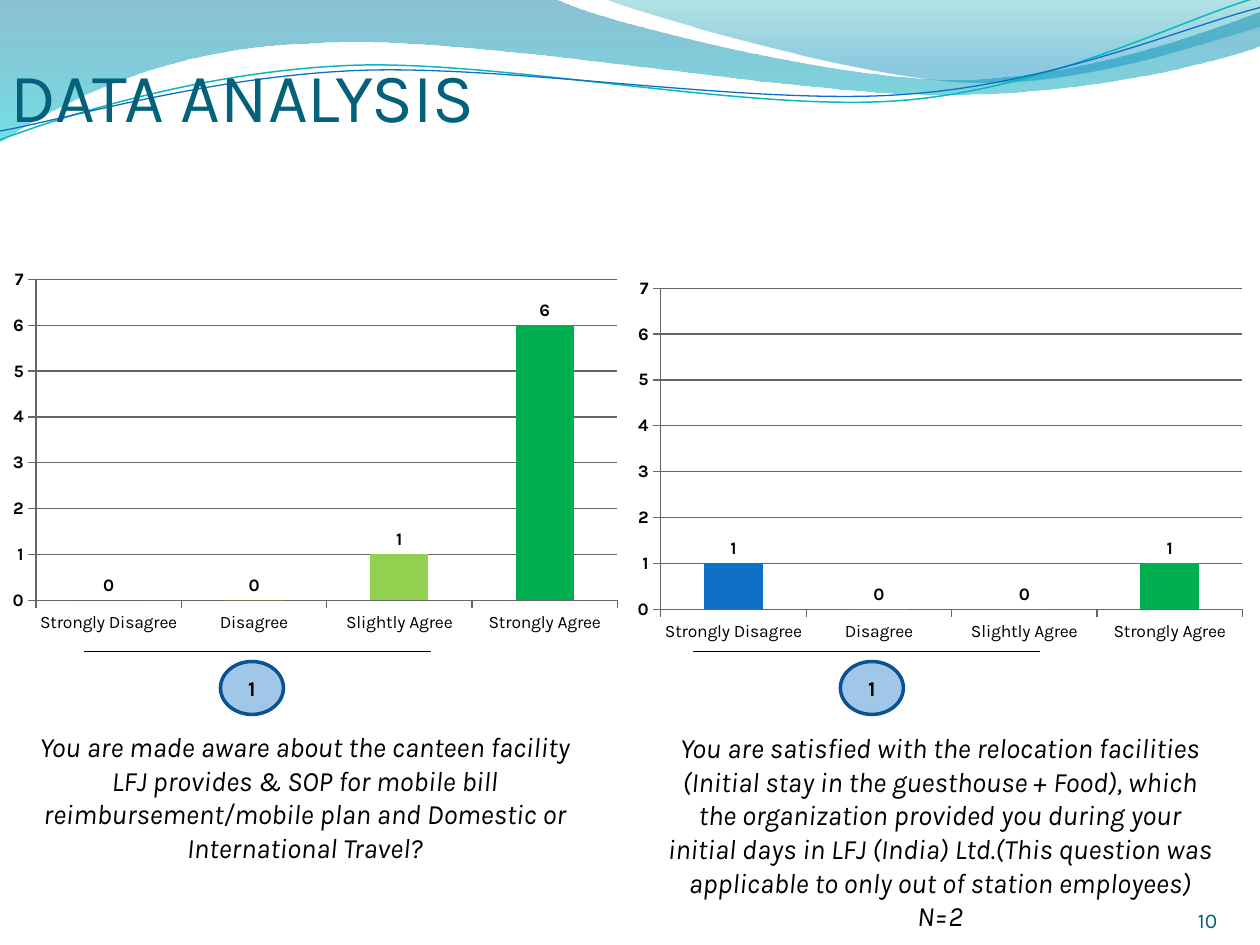
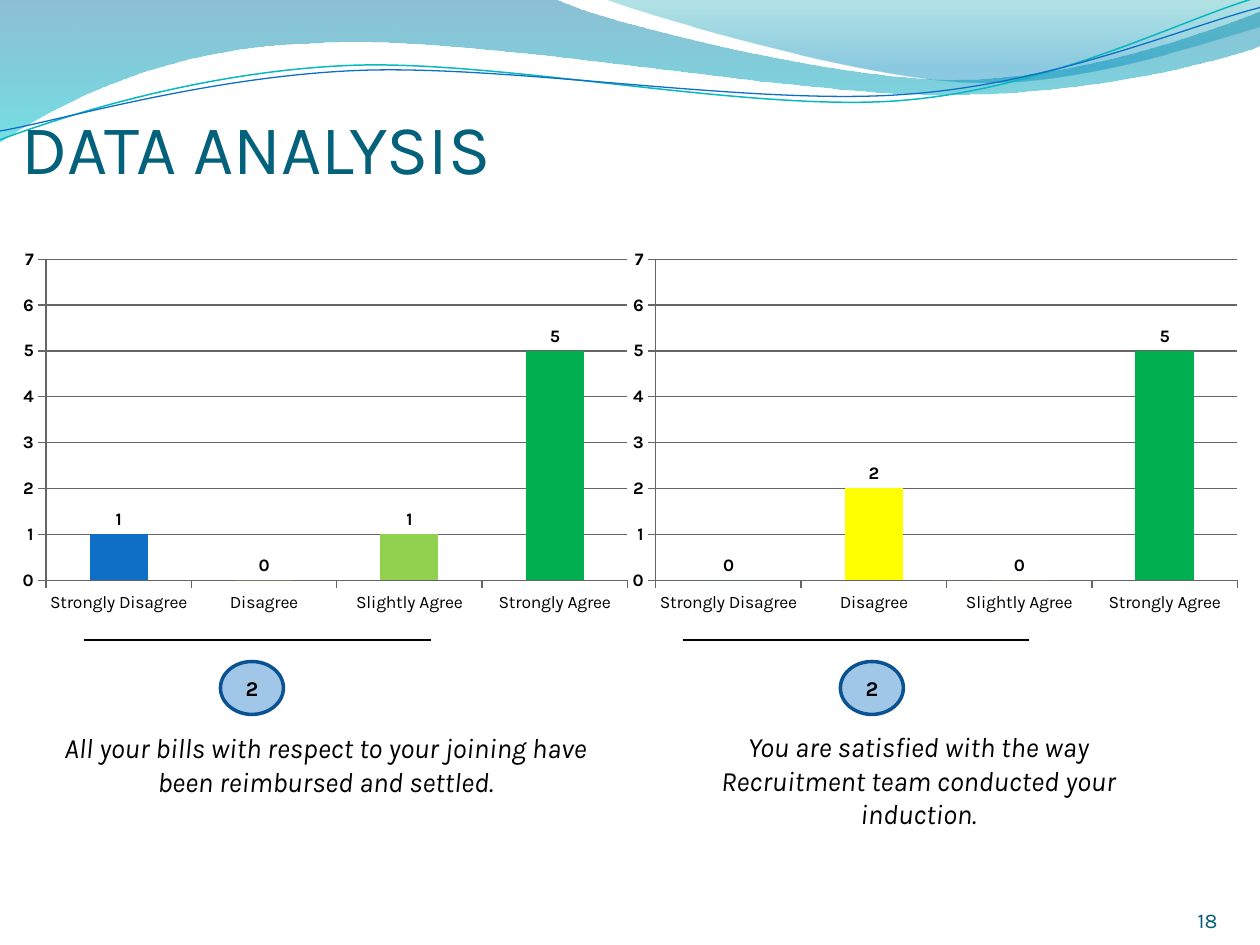
"""Builds two survey slides, each with a pair of answer charts and their questions."""
import pptx
import pptx.chart.data
import pptx.dml.color
import pptx.enum.chart
import pptx.enum.dml
import pptx.enum.shapes
import pptx.enum.text
import pptx.oxml.ns
import pptx.util
from lxml import etree

Inches = pptx.util.Inches
Pt = pptx.util.Pt
qn = pptx.oxml.ns.qn

FONT = "Karla"
COLORS = {
    "title": "04617B", "number": "045D75", "text": "000000", "grid": "666666",
    "blue": "0F6FC6", "badge_line": "0B5292", "teal": "0AB8BF",
    "yellow": "FFFF00", "lime": "92D050", "green": "00B050",
    "band_top": "0074A1", "band_bottom": "00C6CF",
    "swoosh_top": "00A1A9", "swoosh_bottom": "008BBF",
}
ANSWERS = {"Strongly Disagree": "blue", "Disagree": "yellow",
           "Slightly Agree": "lime", "Strongly Agree": "green"}
BADGE_LEFTS = (1.75, 6.67)

BAND = [(0, 0), (4.4, -0.01), (4.76, 0.17, 6.64, 0.63, 7.58, 0.63),
        (8.53, 0.63, 9.58, 0.26, 10, 0.09), (10.01, 0.36),
        (9.83, 0.44, 8.7, 0.76, 7.46, 0.75), (6.22, 0.75, 3.82, 0.28, 2.57, 0.34),
        (1.29, 0.36, 0.46, 0.83, -0.01, 1.13)]
SWOOSH = [(4.79, -0.01), (5.09, 0.11, 6.82, 0.62, 7.69, 0.65),
          (8.56, 0.69, 9.61, 0.32, 10, 0.21), (10, 0)]
TEAL_WAVE = [(0, 1.11), (0.48, 0.93, 1.58, 0.57, 2.77, 0.52),
             (3.95, 0.47, 5.93, 0.89, 7.13, 0.8), (8.33, 0.71, 9.38, 0.15, 9.98, -0.02)]
BLUE_WAVE = [(0, 1.04), (0.47, 0.96, 1.64, 0.61, 2.83, 0.56),
             (4.03, 0.51, 5.97, 0.84, 7.17, 0.75), (8.36, 0.67, 9.41, 0.21, 10, 0.06)]

SLIDES = [
    {"title": (0.08, 0.58, 0.75, 39.6), "number": "10", "score": "1", "rule_top": 5.17,
     "panels": [
         {"chart": (0, 2.08), "values": (0, 0, 1, 6), "rule": 0.67,
          "box": (0.17, 5.74, 4.5, 1.18),
          "question": "You are made aware about the canteen facility LFJ provides & SOP for "
                      "mobile bill reimbursement/mobile plan and Domestic or International Travel?"},
         {"chart": (4.96, 2.15), "values": (1, 0, 0, 1), "rule": 5.5,
          "box": (5.17, 5.75, 4.58, 1.72),
          "question": "You are satisfied with the relocation facilities (Initial stay in the "
                      "guesthouse + Food), which the organization provided you during your initial "
                      "days in LFJ (India) Ltd.(This question was applicable to only out of "
                      "station employees) N=2"}]},
    {"title": (0.17, 0.25, 0, 40), "number": "18", "score": "2", "rule_top": 5.08,
     "panels": [
         {"chart": (0.08, 1.92), "values": (1, 0, 1, 5), "rule": 0.67,
          "box": (0.25, 5.75, 4.67, 0.64),
          "question": "All your bills with respect to your joining have been reimbursed "
                      "and settled."},
         {"chart": (4.92, 1.92), "values": (0, 2, 0, 5), "rule": 5.42,
          "box": (5.33, 5.74, 3.92, 0.91),
          "question": "You are satisfied with the way Recruitment team conducted your "
                      "induction."}]},
]


def rgb(name):
    return pptx.dml.color.RGBColor.from_string(COLORS[name])


def set_opacity(fill_element, percents):
    for color, percent in zip(fill_element.iter(qn("a:srgbClr")), percents):
        etree.SubElement(color, qn("a:alpha")).set("val", str(percent * 1000))


def bend(shape, segments):
    """Turns the straight segments that have control points into cubic curves."""
    straights = list(shape._element.spPr.iter(qn("a:lnTo")))
    for straight, segment in zip(straights, segments):
        if len(segment) == 2:
            continue
        curve = etree.Element(qn("a:cubicBezTo"))
        for x, y in zip(segment[::2], segment[1::2]):
            point = etree.SubElement(curve, qn("a:pt"))
            point.set("x", str(Inches(x) - shape.left))
            point.set("y", str(Inches(y) - shape.top))
        straight.getparent().replace(straight, curve)


class Deck:
    def __init__(self):
        self.prs = pptx.Presentation()
        self.prs.slide_width, self.prs.slide_height = Inches(10), Inches(7.5)
        self.layout = self.prs.slide_layouts[5]
        self.slide = None

    def new_slide(self):
        self.slide = self.prs.slides.add_slide(self.layout)

    def style(self, paragraph, size, color="text", bold=False, italic=False, align="CENTER"):
        paragraph.alignment = getattr(pptx.enum.text.PP_ALIGN, align)
        self.style_font(paragraph.font, size, color, bold)
        paragraph.font.italic = italic

    def style_font(self, font, size, color="text", bold=False):
        font.name, font.size, font.bold = FONT, Pt(size), bold
        font.color.rgb = rgb(color)

    def outline(self, segments, closed):
        anchors = [(Inches(segment[-2]), Inches(segment[-1])) for segment in segments]
        builder = self.slide.shapes.build_freeform(*anchors[0])
        builder.add_line_segments(anchors[1:], close=closed)
        shape = builder.convert_to_shape()
        bend(shape, segments[1:])
        shape.shadow.inherit = False
        return shape

    def gradient_band(self, segments, stops):
        band = self.outline(segments, True)
        band.line.fill.background()
        band.fill.gradient()
        band.fill.gradient_angle = 270
        for stop, (position, color, _) in zip(band.fill.gradient_stops, stops):
            stop.position = position
            stop.color.rgb = rgb(color)
        set_opacity(band._element.spPr.find(qn("a:gradFill")), [stop[2] for stop in stops])
        return band

    def wave(self, segments, color, width):
        wave = self.outline(segments, False)
        wave.fill.background()
        wave.line.color.rgb = rgb(color)
        wave.line.width = Pt(width)
        return wave

    def decorate_layout(self):
        waves = [
            self.gradient_band(BAND, [(0, "band_top", 45), (1, "band_bottom", 55)]),
            self.gradient_band(SWOOSH, [(0, "swoosh_top", 30), (0.8, "swoosh_bottom", 45)]),
            self.wave(TEAL_WAVE, "teal", 0.85),
            self.wave(BLUE_WAVE, "blue", 0.75),
        ]
        for index, wave in enumerate(waves):
            self.layout.shapes._spTree.insert(2 + index, wave._element)

    def title(self, text, left, top, bottom_inset, size):
        title = self.slide.shapes.title
        title.left, title.top = Inches(left), Inches(top)
        title.width, title.height = Inches(9.08), Inches(1.25)
        frame = title.text_frame
        frame.text = text
        frame.auto_size = pptx.enum.text.MSO_AUTO_SIZE.NONE
        frame.vertical_anchor = pptx.enum.text.MSO_ANCHOR.BOTTOM
        frame.margin_left = frame.margin_right = 0
        frame.margin_top, frame.margin_bottom = Inches(0.05), Inches(bottom_inset)
        self.style(frame.paragraphs[0], size, "title", align="LEFT")

    def text(self, text, box, size, **style):
        frame = self.slide.shapes.add_textbox(*map(Inches, box)).text_frame
        frame.word_wrap = True
        frame.text = text
        self.style(frame.paragraphs[0], size, **style)
        return frame

    def question(self, text, box):
        frame = self.text(text, box, 16, italic=True)
        frame.auto_size = pptx.enum.text.MSO_AUTO_SIZE.SHAPE_TO_FIT_TEXT

    def page_number(self, number):
        frame = self.text(number, (9.17, 7, 0.83, 0.4), 12, color="number")
        frame.margin_left = frame.margin_right = frame.margin_top = frame.margin_bottom = 0
        frame.vertical_anchor = pptx.enum.text.MSO_ANCHOR.BOTTOM

    def rule(self, left, top):
        rule = self.slide.shapes.add_connector(
            pptx.enum.shapes.MSO_CONNECTOR.STRAIGHT,
            Inches(left), Inches(top), Inches(left + 2.75), Inches(top))
        rule.line.color.rgb = rgb("text")
        rule.line.width = Pt(1)
        etree.SubElement(rule._element.spPr, qn("a:effectLst"))

    def badge(self, score, left):
        badge = self.slide.shapes.add_shape(
            pptx.enum.shapes.MSO_SHAPE.OVAL, Inches(left), Inches(5.25), Inches(0.5), Inches(0.42))
        badge.shadow.inherit = False
        badge.fill.solid()
        badge.fill.fore_color.rgb = rgb("blue")
        set_opacity(badge._element.spPr.find(qn("a:solidFill")), [39])
        badge.line.color.rgb = rgb("badge_line")
        badge.line.width = Pt(2)
        badge.text_frame.text = score
        badge.text_frame.vertical_anchor = pptx.enum.text.MSO_ANCHOR.MIDDLE
        self.style(badge.text_frame.paragraphs[0], 12, bold=True)

    def answer_chart(self, values, left, top):
        answers = pptx.chart.data.CategoryChartData()
        answers.categories = list(ANSWERS)
        answers.add_series("Series 1", values)
        chart = self.slide.shapes.add_chart(
            pptx.enum.chart.XL_CHART_TYPE.COLUMN_CLUSTERED,
            Inches(left), Inches(top), Inches(5), Inches(3), answers).chart
        chart.has_title = chart.has_legend = False
        self.style_font(chart.font, 10)
        counts = chart.value_axis
        counts.minimum_scale, counts.maximum_scale, counts.major_unit = 0, 7, 1
        counts.has_major_gridlines = True
        for axis in (chart.category_axis, counts):
            axis.major_tick_mark = pptx.enum.chart.XL_TICK_MARK.OUTSIDE
            self.style_font(axis.tick_labels.font, 10, bold=axis is counts)
        for line in (chart.category_axis.format.line, counts.format.line,
                     counts.major_gridlines.format.line):
            line.color.rgb = rgb("grid")
            line.width = Pt(0.75)
        plot = chart.plots[0]
        plot.gap_width = 150
        plot.vary_by_categories = False
        bars = plot.series[0]
        bars.format.fill.solid()
        bars.format.fill.fore_color.rgb = rgb("blue")
        for index, color in enumerate(ANSWERS.values()):
            if index:
                fill = bars.points[index].format.fill
                fill.solid()
                fill.fore_color.rgb = rgb(color)
        labels = bars.data_labels
        labels.show_value = True
        labels.position = pptx.enum.chart.XL_LABEL_POSITION.OUTSIDE_END
        self.style_font(labels.font, 10, bold=True)


def main():
    deck = Deck()
    for number, content in enumerate(SLIDES):
        deck.new_slide()
        if number == 0:
            deck.decorate_layout()
        deck.title("DATA ANALYSIS", *content["title"])
        for panel, badge_left in zip(content["panels"], BADGE_LEFTS):
            deck.answer_chart(panel["values"], *panel["chart"])
            deck.rule(panel["rule"], content["rule_top"])
            deck.badge(content["score"], badge_left)
            deck.question(panel["question"], panel["box"])
        deck.page_number(content["number"])
    deck.prs.save("out.pptx")


if __name__ == "__main__":
    main()
